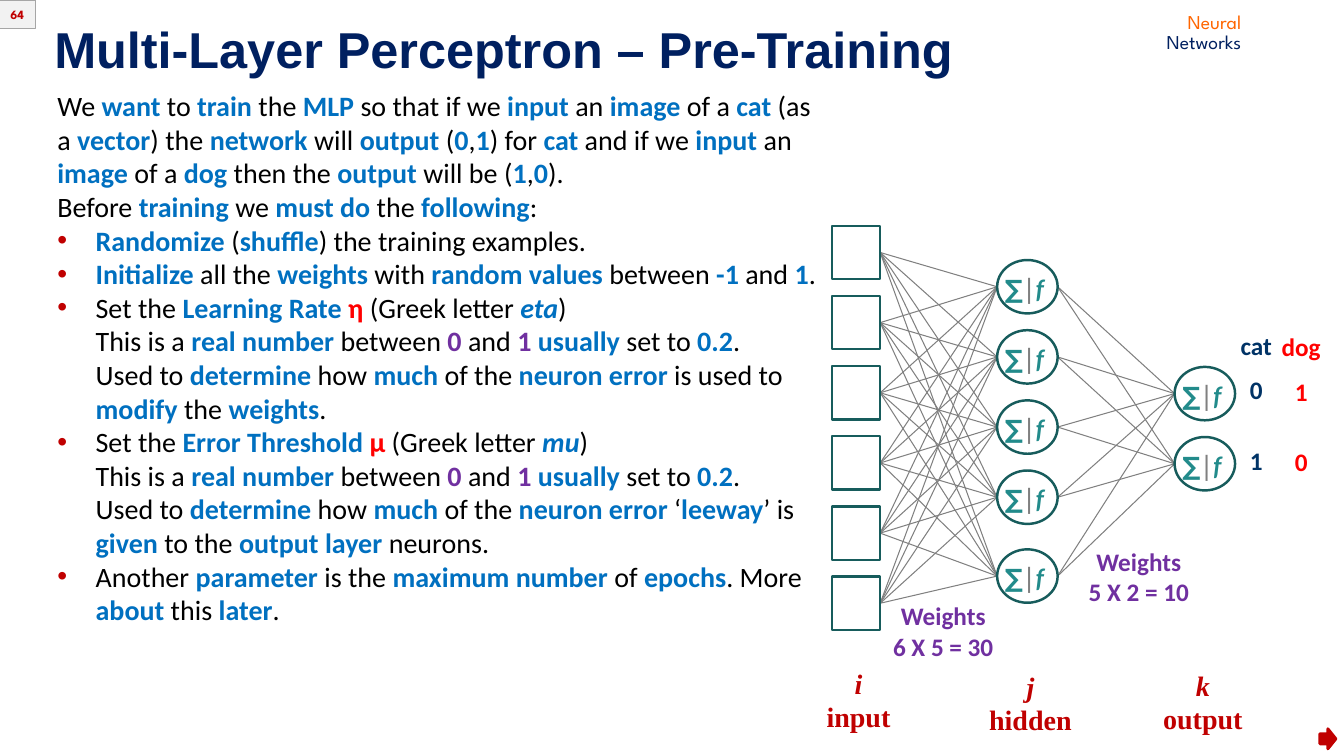
"""Build the slide on preparing a multi-layer perceptron for training."""
from dataclasses import dataclass

from lxml import etree
from pptx import Presentation
from pptx import util as u
from pptx.dml.color import RGBColor
from pptx.enum import shapes, text
from pptx.oxml import ns

NAVY = RGBColor(0x00, 0x20, 0x60)
CAT_BLUE = RGBColor(0x00, 0x33, 0x66)
BLUE = RGBColor(0x00, 0x70, 0xC0)
PURPLE = RGBColor(0x70, 0x30, 0xA0)
RED = RGBColor(0xFF, 0x00, 0x00)
DARK_RED = RGBColor(0xC0, 0x00, 0x00)
ORANGE = RGBColor(0xFF, 0x66, 0x00)
TEAL = RGBColor(0x22, 0x8B, 0x8B)
DARK_TEAL = RGBColor(0x17, 0x5C, 0x5C)
BLACK = RGBColor(0x00, 0x00, 0x00)
GRAY = RGBColor(0x80, 0x80, 0x80)
BORDER_GRAY = RGBColor(0xA6, 0xA6, 0xA6)
PALE_GRAY = RGBColor(0xF2, 0xF2, 0xF2)

KIND = shapes.MSO_SHAPE
ALIGN = text.PP_ALIGN
PITCH = 3.48 / 5
NODE_HEIGHT = 0.53
EMPHASIS = {"^": PURPLE, "~": RED, "_": BLUE}
INTRO = (
    "We *want* to *train* the *MLP* so that if we *input* an *image* of a *cat* (as a "
    "*vector*) the *network* will *output* (*0*,*1*) for *cat* and if we *input* an "
    "*image* of a *dog* then the *output* will be (*1*,*0*).",
    "Before *training* we *must do* the *following*:",
)
RANGE = "This is a *real number* between *^0* and *^1 **usually* set to *0.2*.\n"
ERROR = "Used to *determine* how *much* of the *neuron error*"
STEPS = (
    "*Randomize* (*shuffle*) the training examples.",
    "*Initialize* all the *weights* with *random values* between *-1* and *1*.",
    "Set the *Learning Rate **~η *(Greek letter *_eta*)\n" + RANGE + ERROR
    + " is used to *modify* the *weights*.",
    "Set the *Error Threshold **~μ* (Greek letter *_mu*)\n" + RANGE + ERROR
    + " ‘*leeway*’ is *given* to the *output layer* neurons.",
    "Another *parameter* is the *maximum number* of *epochs*. More *about* this *later*.",
)


@dataclass
class Layer:
    """A column of network nodes."""
    left: float
    width: float
    kind: KIND
    tops: list[float]


@dataclass
class Line:
    """One formatted line of a label."""
    words: str
    size: float
    font: str
    color: RGBColor
    bold: bool = True
    italic: bool = False
    space_before: float = 0


@dataclass
class Label:
    """A text box with one style per line."""
    left: float
    top: float
    width: float
    height: float
    lines: list[Line]
    align: ALIGN = ALIGN.CENTER
    spacing: float | u.Pt | None = None


def add_box(slide, left: float, top: float, width: float, height: float):
    box = slide.shapes.add_textbox(*map(u.Inches, (left, top, width, height)))
    box.text_frame.word_wrap = True
    return box.text_frame


def add_paragraph(frame, index: int):
    return frame.add_paragraph() if index else frame.paragraphs[0]


def write_line(paragraph, line: Line) -> None:
    paragraph.text = line.words
    font = paragraph.font
    font.size, font.name = u.Pt(line.size), line.font
    font.bold, font.italic = line.bold, line.italic
    font.color.rgb = line.color
    if line.space_before:
        paragraph.space_before = u.Pt(line.space_before)


def add_label(slide, label: Label):
    frame = add_box(slide, label.left, label.top, label.width, label.height)
    for index, line in enumerate(label.lines):
        paragraph = add_paragraph(frame, index)
        paragraph.alignment = label.align
        if label.spacing:
            paragraph.line_spacing = label.spacing
        write_line(paragraph, line)
    return frame


def add_shape(slide, kind: KIND, left: float, top: float, width: float, height: float,
              line: RGBColor, weight: float, fill: RGBColor | None = None):
    shape = slide.shapes.add_shape(kind, *map(u.Inches, (left, top, width, height)))
    shape.shadow.inherit = False
    shape.line.color.rgb, shape.line.width = line, u.Pt(weight)
    if fill is None:
        shape.fill.background()
    else:
        shape.fill.solid()
        shape.fill.fore_color.rgb = fill
    return shape


def connect_layers(slide, source: Layer, target: Layer) -> None:
    for start in source.tops:
        for end in target.tops:
            connector = slide.shapes.add_connector(
                shapes.MSO_CONNECTOR.STRAIGHT,
                u.Inches(source.left + source.width), u.Inches(start + NODE_HEIGHT / 2),
                u.Inches(target.left), u.Inches(end + NODE_HEIGHT / 2))
            connector.line.color.rgb, connector.line.width = GRAY, u.Pt(0.75)
            etree.SubElement(connector._element.spPr, ns.qn("a:effectLst"))


def add_neuron_symbol(slide, left: float, top: float) -> None:
    paragraph = add_box(slide, left, top, 1.04, 0.4).paragraphs[0]
    paragraph.alignment = ALIGN.CENTER
    paragraph.font.size, paragraph.font.bold = u.Pt(18), True
    for symbol, name, color in (("∑", "Comic Neue", TEAL), ("│", "Calibri", GRAY),
                                ("f", "Lato", TEAL)):
        run = paragraph.add_run()
        run.text, run.font.name, run.font.italic = symbol, name, symbol == "f"
        run.font.color.rgb = color


def add_layer(slide, layer: Layer) -> None:
    for top in layer.tops:
        add_shape(slide, layer.kind, layer.left, top, layer.width, NODE_HEIGHT, DARK_TEAL, 1.75)
        if layer.kind == KIND.OVAL:
            add_neuron_symbol(slide, layer.left - 0.25, top + 0.08)


def add_bullet(paragraph) -> None:
    properties = paragraph._p.get_or_add_pPr()
    properties.set("marL", str(u.Inches(0.38)))
    properties.set("indent", str(-u.Inches(0.38)))
    color = etree.SubElement(properties, ns.qn("a:buClr"))
    etree.SubElement(color, ns.qn("a:srgbClr"), val=str(DARK_RED))
    etree.SubElement(properties, ns.qn("a:buFont"), typeface="Arial")
    etree.SubElement(properties, ns.qn("a:buChar"), char="•")


def write_marked(paragraph, marked: str) -> None:
    paragraph.font.size, paragraph.font.name = u.Pt(20), "Calibri"
    for index, segment in enumerate(marked.split("*")):
        strong = index % 2 == 1
        mark = segment[:1] if strong and segment[:1] in EMPHASIS else ""
        for row, piece in enumerate(segment.removeprefix(mark).split("\n")):
            if row:
                paragraph.add_line_break()
            if piece:
                run = paragraph.add_run()
                run.text, run.font.bold, run.font.italic = piece, strong, mark == "_"
                run.font.color.rgb = EMPHASIS.get(mark, BLUE) if strong else BLACK


def add_body(slide) -> None:
    frame = add_box(slide, 0.47, 0.83, 7.81, 5.82)
    for index, marked in enumerate(INTRO + STEPS):
        paragraph = add_paragraph(frame, index)
        if marked in STEPS:
            add_bullet(paragraph)
        write_marked(paragraph, marked)


def main() -> None:
    presentation = Presentation()
    presentation.slide_width, presentation.slide_height = u.Inches(13.33), u.Inches(7.5)
    slide = presentation.slides.add_slide(presentation.slide_layouts[6])

    title = add_label(slide, Label(0.44, 0, 11.5, 0.84, [
        Line("Multi-Layer Perceptron – Pre-Training", 36, "Arial", NAVY)], ALIGN.LEFT, 0.9))
    title.vertical_anchor = text.MSO_ANCHOR.BOTTOM
    add_body(slide)

    inputs = Layer(8.25, 0.48, KIND.RECTANGLE, [2.24 + PITCH * i for i in range(6)])
    hidden = Layer(9.89, 0.6, KIND.OVAL, [2.58 + PITCH * i for i in range(4)] + [5.45])
    outputs = Layer(11.65, 0.6, KIND.OVAL, [3.64 + PITCH * i for i in range(2)])
    connect_layers(slide, inputs, hidden)
    connect_layers(slide, hidden, outputs)
    for layer in (inputs, hidden, outputs):
        add_layer(slide, layer)

    for left, top, width, letter, name in ((7.67, 6.56, 1.69, "i", "input"),
                                           (9.52, 6.59, 1.4, "j", "hidden"),
                                           (11.22, 6.58, 1.42, "k", "output")):
        add_label(slide, Label(left, top, width, 0.77, [
            Line(letter, 20, "Times New Roman", DARK_RED, italic=True),
            Line(name, 20, "Times New Roman", DARK_RED)]))
    for left, top, product in ((8.69, 5.91, "6 X 5 = 30"), (10.63, 5.37, "5 X 2 = 10")):
        add_label(slide, Label(left, top, 1.33, 0.71, [
            Line(words, 18, "Calibri", PURPLE) for words in ("Weights", product)]))
    for left, top, width, color, targets in (
            (12.17, 3.23, 0.58, CAT_BLUE, ("cat", "0", "1")),
            (12.56, 3.24, 0.69, RED, ("dog", "1", "0"))):
        add_label(slide, Label(left, top, width, 1.55, [
            Line(words, 18, "Calibri", color, space_before=gap)
            for words, gap in zip(targets, (0, 10, 29))]))
    add_label(slide, Label(11.25, 0.09, 1.16, 0.49, [
        Line("Neural", 14, "League Spartan", ORANGE, bold=False),
        Line("Networks", 14, "League Spartan", NAVY, bold=False)], ALIGN.RIGHT, u.Pt(14)))

    add_shape(slide, KIND.RIGHT_ARROW, 13.09, 7.23, 0.16, 0.2, DARK_RED, 2, DARK_RED)
    badge = add_shape(slide, KIND.RECTANGLE, -0.01, 0, 0.36, 0.28, BORDER_GRAY, 0.75, PALE_GRAY)
    frame = badge.text_frame
    frame.margin_left = frame.margin_right = frame.margin_top = frame.margin_bottom = 0
    frame.paragraphs[0].alignment = ALIGN.CENTER
    write_line(frame.paragraphs[0], Line("64", 9, "League Spartan", DARK_RED))
    presentation.save("out.pptx")


if __name__ == "__main__":
    main()
